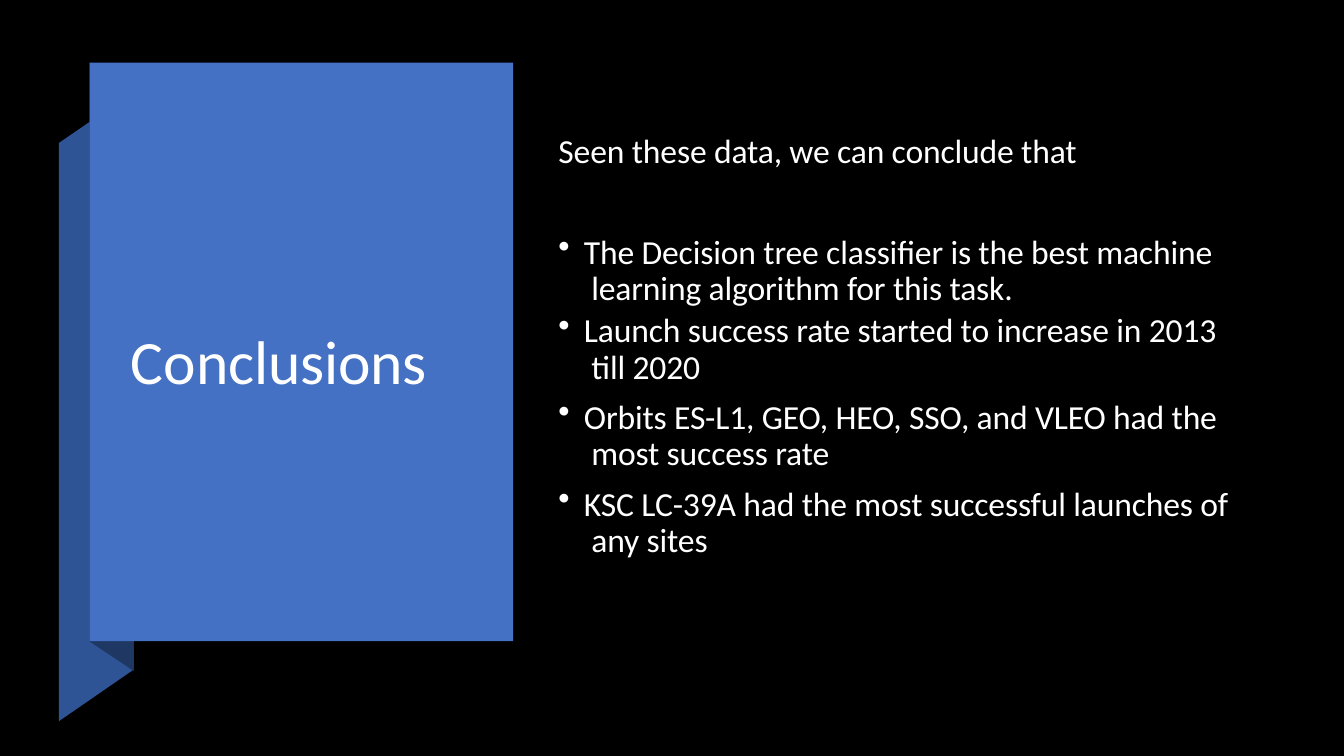
from lxml import etree
from pptx import Presentation
from pptx.dml.color import RGBColor
from pptx.enum.shapes import MSO_SHAPE
from pptx.enum.text import MSO_ANCHOR, PP_ALIGN
from pptx.oxml.ns import qn
from pptx.util import Pt

RECT = MSO_SHAPE.RECTANGLE
TOP, LEFT = MSO_ANCHOR.TOP, PP_ALIGN.LEFT
BLACK = RGBColor(0x00, 0x00, 0x00)
WHITE = RGBColor(0xFF, 0xFF, 0xFF)
BLUE = RGBColor(0x44, 0x71, 0xC4)
MID = RGBColor(0x2E, 0x54, 0x96)
DARK = RGBColor(0x1F, 0x38, 0x63)
FONT = "Calibri"

# Content
TITLE = "Conclusions"
INTRO = "Seen these data, we can conclude that"
POINTS = [  # text, space before
    ("The Decision tree classifier is the best machine\v learning algorithm for this task.", 4.2),
    ("Launch success rate started to increase in 2013\v till 2020", 4.2),
    ("Orbits ES-L1, GEO, HEO, SSO, and VLEO had the\v most success rate", 10.1),
    ("KSC LC-39A had the most successful launches of\v any sites", 10.1),
]

# Layout in points
WIDE, HIGH = 960, 540
PANEL = (64.1, 44.8, 302.4, 413.3)
FOLDS = [
    (MID, [(42, 102.2), (95.5, 65.5), (95.5, 478.3), (42, 515.2)]),
    (DARK, [(64.1, 44.8), (95.5, 65), (95.5, 479.3), (64.1, 458.3)]),
]
TEXT_X = 398.2
HANG = 18.2

deck = Presentation()
deck.slide_width, deck.slide_height = Pt(WIDE), Pt(HIGH)
slide = deck.slides.add_slide(deck.slide_layouts[6])
shapes = slide.shapes


def paint(shape, color):
    shape.shadow.inherit = False
    shape.fill.solid()
    shape.fill.fore_color.rgb = color
    shape.line.fill.background()


def block(x, y, w, h, color):
    shape = shapes.add_shape(RECT, Pt(x), Pt(y), Pt(w), Pt(h))
    paint(shape, color)
    return shape


def frame(shape, left=0, top=0):
    tf = shape.text_frame
    tf.word_wrap = True
    tf.vertical_anchor = TOP
    tf.margin_left, tf.margin_top = Pt(left), Pt(top)
    tf.margin_right = tf.margin_bottom = 0
    return tf


def write(para, text, size):
    para.text = text
    para.alignment = LEFT
    font = para.font
    font.name, font.size = FONT, Pt(size)
    font.color.rgb = WHITE
    para._p.pPr.find(qn("a:defRPr")).set("spc", "-10")


def bullet(para):
    props = para._p.get_or_add_pPr()
    props.set("marL", str(Pt(HANG)))
    props.set("indent", str(-Pt(HANG)))
    mark = etree.Element(qn("a:buChar"), char="•")
    props.find(qn("a:defRPr")).addprevious(mark)


# Backdrop and folded ribbon
block(0, 0, WIDE, HIGH, BLACK)
for color, pts in FOLDS:
    pen = shapes.build_freeform(Pt(pts[0][0]), Pt(pts[0][1]))
    pen.add_line_segments([(Pt(x), Pt(y)) for x, y in pts[1:]], close=True)
    paint(pen.convert_to_shape(), color)

# Title panel
panel = frame(block(*PANEL, BLUE), left=29.5, top=186)
write(panel.paragraphs[0], TITLE, 44)

# Opening line
box = shapes.add_textbox(Pt(TEXT_X), Pt(91.4), Pt(376), Pt(31))
intro = frame(box, left=0.7, top=1.7)
write(intro.paragraphs[0], INTRO, 24)

# Bulleted findings
box = shapes.add_textbox(Pt(TEXT_X), Pt(163.4), Pt(484.6), Pt(238.3))
body = frame(box, left=0.7, top=4.3)
for i, (text, gap) in enumerate(POINTS):
    para = body.add_paragraph() if i else body.paragraphs[0]
    write(para, text, 24)
    para.line_spacing = Pt(25.9)
    para.space_before = Pt(gap)
    bullet(para)

deck.save("out.pptx")
